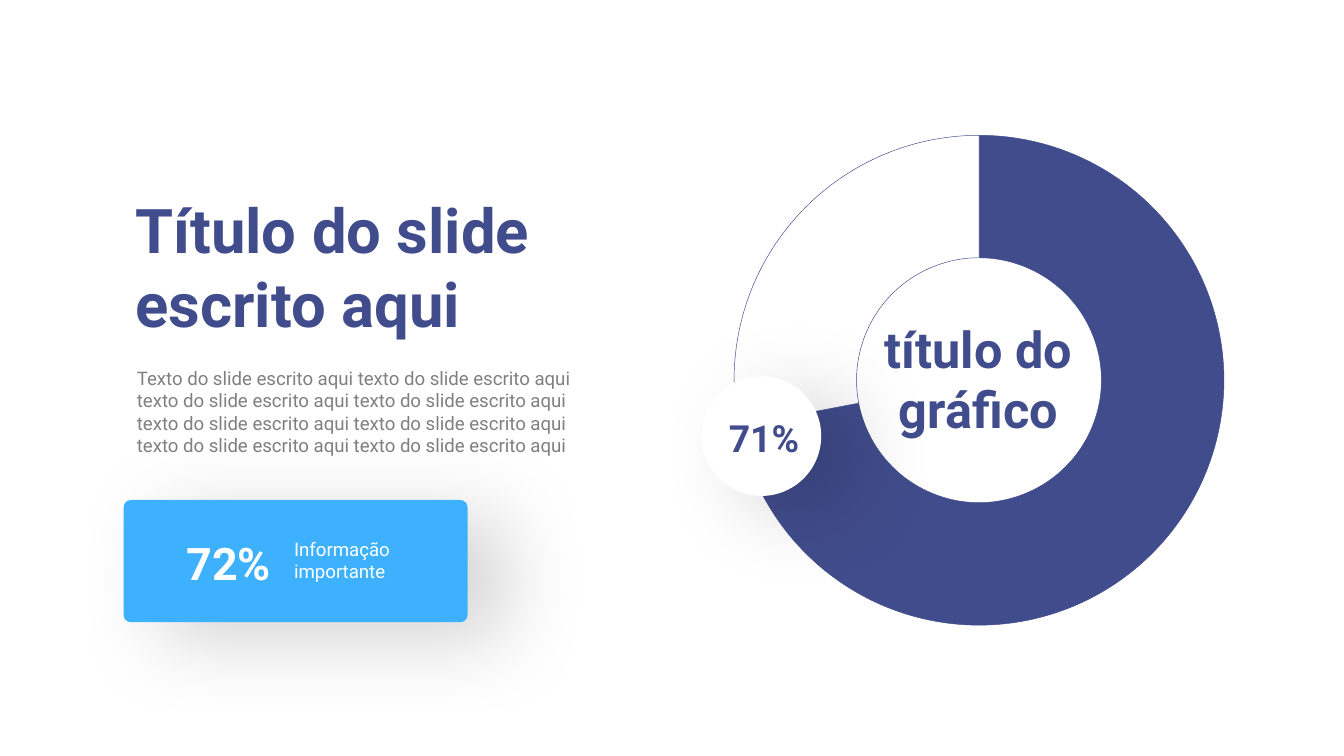
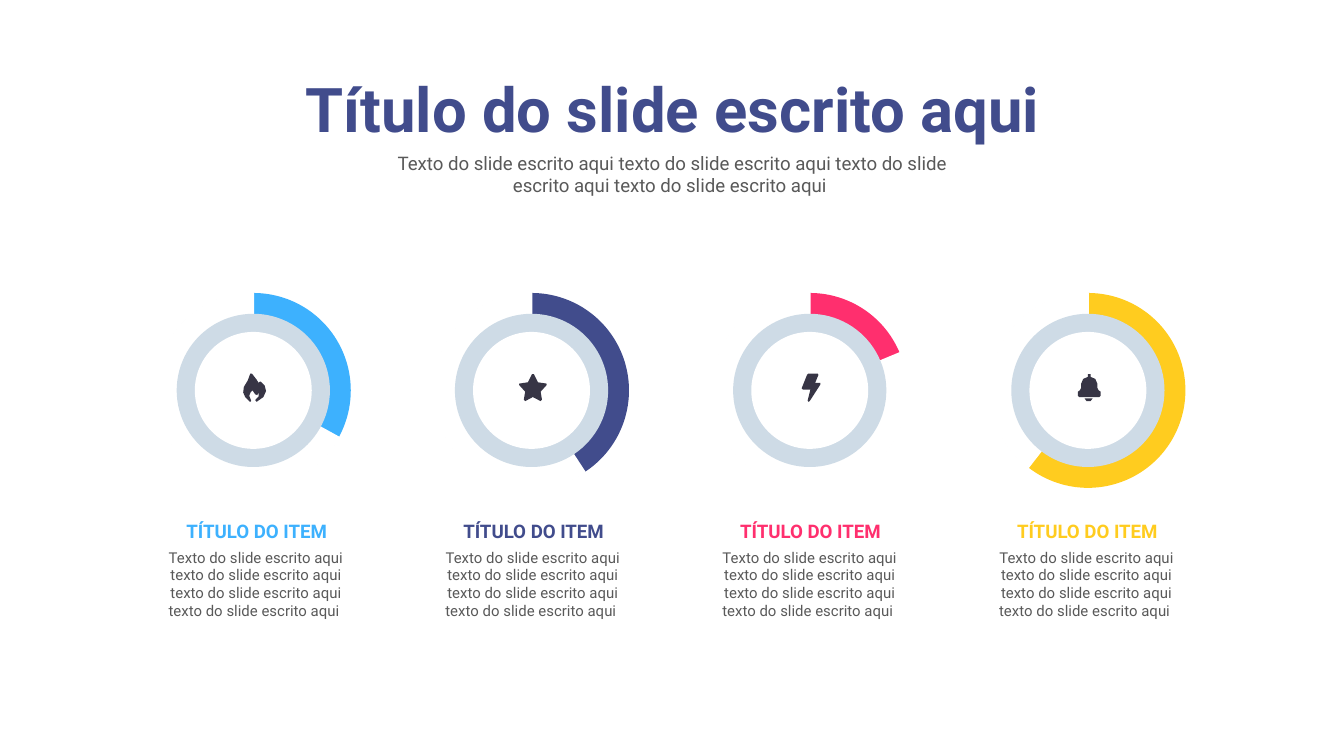
"""Build two infographic slides: a doughnut summary and a row of four dials."""
import dataclasses

import lxml.etree
import pptx
import pptx.chart.data
import pptx.dml.color
import pptx.enum.chart
import pptx.enum.shapes
import pptx.enum.text
import pptx.oxml.ns
import pptx.util

Inches = pptx.util.Inches
Shape = pptx.enum.shapes.MSO_SHAPE
Align = pptx.enum.text.PP_ALIGN
Anchor = pptx.enum.text.MSO_ANCHOR
qn = pptx.oxml.ns.qn


@dataclasses.dataclass(frozen=True)
class Theme:
    """Colours, fonts and type sizes of the deck."""
    navy: str = "414C8C"
    sky: str = "3DB1FE"
    pink: str = "FF2F6E"
    yellow: str = "FFCC1F"
    ring: str = "CEDBE6"
    icon: str = "373545"
    white: str = "FFFFFF"
    black: str = "000000"
    gray: str = "808080"
    dark_gray: str = "595959"
    font: str = "Roboto"
    chart_font: str = "Calibri"
    title: int = 33
    chart_title: int = 27
    figure: int = 24
    badge: int = 20
    body: int = 10
    small: int = 8


T = Theme()
TITLE = "Título do slide escrito aqui"
PHRASE = "texto do slide escrito aqui"

ICONS = {
    "flame": [[(11.5, 14), (11.5, 17), (9.5, 19), (9, 20), (10, 21), (15, 17.5),
               (17, 13), (16, 9), (13, 6), (12, 6.2), (11.5, 7), (10, 4.5),
               (6.5, 0), (5.3, 0), (3.5, 5), (0.5, 10), (0, 14), (1.5, 17.5),
               (5, 21), (6, 20.5), (5.7, 19.5), (4.5, 16.5), (5.5, 14),
               (7, 12.5), (9, 15.5), (10.5, 16)]],
    "star": [[(20.5, 7), (14, 6), (11, 0), (9.5, 0), (6.5, 6), (0, 7), (0, 8),
              (4.5, 13), (3.5, 19), (4.5, 20), (10.2, 17), (16, 20), (17, 19),
              (16, 13), (20.5, 8)]],
    "bolt": [[(5, 21), (4.5, 20), (6.5, 12), (1, 12), (0, 11), (4, 1), (5, 0),
              (12, 0), (12.5, 1), (10, 7), (14, 7), (14, 8), (6, 20.5)]],
    "bell": [[(11, 18), (9.5, 20), (6.5, 20), (5, 18)],
             [(15.5, 12), (17, 13), (17, 16), (16, 17), (1, 17), (0, 16),
              (0, 13), (1.5, 12), (2.5, 10), (2.5, 7), (4, 3.5), (7.5, 2),
              (7.5, 0), (9.5, 0), (9.5, 2), (13, 3.5), (14.5, 7), (14.5, 10)]],
}


def rgb(color):
    """Return the colour object for a hex string."""
    return pptx.dml.color.RGBColor.from_string(color)


def box(*lengths):
    """Convert lengths in inches."""
    return [Inches(v) for v in lengths]


def phrases(count):
    """Repeat the sample phrase, starting with a capital."""
    return " ".join([PHRASE.capitalize()] + [PHRASE] * (count - 1))


def add_text(s, text, x, y, w, h, *, size=T.body, color=T.dark_gray, bold=False,
             align=Align.LEFT, anchor=Anchor.TOP):
    """Add a wrapping text box with one paragraph per line of text."""
    tf = s.shapes.add_textbox(*box(x, y, w, h)).text_frame
    tf.word_wrap = True
    tf.auto_size = pptx.enum.text.MSO_AUTO_SIZE.SHAPE_TO_FIT_TEXT
    tf.vertical_anchor = anchor
    for i, line in enumerate(text.split("\n")):
        p = tf.paragraphs[0] if i == 0 else tf.add_paragraph()
        p.alignment = align
        r = p.add_run()
        r.text = line
        r.font.name = T.font
        r.font.size = pptx.util.Pt(size)
        r.font.bold = bold
        r.font.color.rgb = rgb(color)


def add_title(s, x, y, w, h, align=Align.LEFT):
    """Add the slide title in the shared style."""
    add_text(s, TITLE, x, y, w, h, size=T.title, color=T.navy, bold=True, align=align)


def paint(sp, color):
    """Give a shape a flat fill without line or shadow."""
    sp.shadow.inherit = False
    sp.fill.solid()
    sp.fill.fore_color.rgb = rgb(color)
    sp.line.fill.background()
    return sp


def add_shape(s, kind, x, y, w, h, color):
    """Add a flat preset shape."""
    return paint(s.shapes.add_shape(kind, *box(x, y, w, h)), color)


def add_shadow(sp):
    """Cast a wide soft shadow to the lower right."""
    effects = sp._element.spPr.find(qn("a:effectLst"))
    shadow = lxml.etree.SubElement(
        effects, qn("a:outerShdw"), blurRad=str(pptx.util.Pt(45)),
        dist=str(pptx.util.Pt(22)), dir=str(25 * 60000), rotWithShape="0")
    color = lxml.etree.SubElement(shadow, qn("a:srgbClr"), val=T.black)
    lxml.etree.SubElement(color, qn("a:alpha"), val="17000")


def add_icon(s, name, cx, cy):
    """Draw an icon centred on a point; outlines are in hundredths of an inch."""
    contours = [[(x * 10, y * 10) for x, y in c] for c in ICONS[name]]
    points = [pt for c in contours for pt in c]
    w, h = (max(axis) / 1000 for axis in zip(*points))
    fb = s.shapes.build_freeform(*contours[0][0], scale=Inches(1) / 1000)
    for i, contour in enumerate(contours):
        if i:
            fb.move_to(*contour[0])
        fb.add_line_segments(contour[1:], close=True)
    paint(fb.convert_to_shape(*box(cx - w / 2, cy - h / 2)), T.icon)


def set_plot_layout(chart, size):
    """Centre the plot area in the chart at a share of its size."""
    area = chart._chartSpace.find(".//" + qn("c:plotArea"))
    layout = area.find(qn("c:layout"))
    if layout is None:
        layout = lxml.etree.Element(qn("c:layout"))
        area.insert(0, layout)
    manual = lxml.etree.SubElement(layout, qn("c:manualLayout"))
    margin = (1 - size) / 2
    for tag, value in (("layoutTarget", "inner"), ("xMode", "edge"), ("yMode", "edge"),
                       ("x", margin), ("y", margin), ("w", size), ("h", size)):
        lxml.etree.SubElement(manual, qn("c:" + tag), val=str(value))


def add_doughnut(s, x, y, w, h):
    """Add the doughnut chart with its badge and central title."""
    data = pptx.chart.data.CategoryChartData()
    data.categories = ["1", "2"]
    data.add_series("Series 1", (72, 28))
    chart = s.shapes.add_chart(
        pptx.enum.chart.XL_CHART_TYPE.DOUGHNUT, *box(x, y, w, h), data).chart
    chart.has_title = False
    chart.has_legend = False
    chart.font.name = T.chart_font
    chart.font.size = pptx.util.Pt(T.body)
    chart.font.color.rgb = rgb(T.black)
    plot = chart.plots[0]
    plot.vary_by_categories = True
    plot.has_data_labels = False
    for i, color in enumerate((T.navy, T.white)):
        fmt = plot.series[0].points[i].format
        fmt.fill.solid()
        fmt.fill.fore_color.rgb = rgb(color)
        fmt.line.color.rgb = rgb(T.navy)
        fmt.line.width = pptx.util.Pt(0.25)
    chart._chartSpace.find(".//" + qn("c:holeSize")).set("val", "85")
    set_plot_layout(chart, 0.93)

    add_shadow(add_shape(s, Shape.OVAL, x - 0.09, y + 1.93, 0.89, 0.89, T.white))
    add_text(s, "título do gráfico", x + 1.14, y + 1.44, 1.66, 1.01, size=T.chart_title,
             color=T.navy, bold=True, align=Align.CENTER, anchor=Anchor.MIDDLE)
    add_text(s, "71%", x - 0.11, y + 2.17, 0.97, 0.44, size=T.badge, color=T.navy,
             bold=True, align=Align.CENTER)


def add_card(s, x, y, w, h):
    """Add the highlighted figure card."""
    card = add_shape(s, Shape.ROUNDED_RECTANGLE, x, y, w, h, T.sky)
    card.adjustments[0] = 0.06
    add_shadow(card)
    add_text(s, "72%", x + 0.37, y + 0.22, 0.97, 0.5, size=T.figure, color=T.white, bold=True)
    add_text(s, "Informação\nimportante", x + 1.17, y + 0.23, 1.32, 0.44, color=T.white)


def add_dial(s, x, y, size, icon, color, sweep):
    """Add a dial whose coloured arc runs clockwise from the top by sweep degrees."""
    add_shape(s, Shape.OVAL, x, y, size, size, color)
    mask = add_shape(s, Shape.PIE, x, y, size, size, T.white)
    mask.rotation = 270
    for i, angle in enumerate((sweep, 359.99)):
        mask.adjustments[i] = angle * 0.6
    mask.line.color.rgb = rgb(T.white)
    mask.line.width = pptx.util.Pt(1)
    cx, cy = x + size / 2, y + size / 2
    for d, fill in ((1.14, T.ring), (0.87, T.white)):
        add_shape(s, Shape.OVAL, cx - d / 2, cy - d / 2, d, d, fill)
    add_icon(s, icon, cx + 0.01, cy - 0.02)


def add_caption(s, x, y, w, color):
    """Add an item heading above its text."""
    add_text(s, "TÍTULO DO ITEM", x + 0.16, y, 1.4, 0.27, color=color, bold=True,
             align=Align.CENTER)
    add_text(s, phrases(4) + " ", x, y + 0.21, w, 0.64, size=T.small, align=Align.CENTER)


def build_summary(s):
    """Compose the doughnut slide."""
    add_doughnut(s, 5.31, 0.87, 3.95, 3.92)
    add_title(s, 0.91, 1.38, 4.06, 1.21)
    add_text(s, phrases(8), 0.92, 2.68, 3.48, 0.77, color=T.gray)
    add_card(s, 0.92, 3.72, 2.56, 0.91)


def build_dials(s):
    """Compose the slide with four dials."""
    add_text(s, phrases(4) + " ", 2.71, 1.08, 4.58, 0.44, align=Align.CENTER)
    add_title(s, 0.87, 0.48, 8.27, 0.66, Align.CENTER)
    items = [("flame", T.sky, 118.79), ("star", T.navy, 146.92),
             ("bolt", T.pink, 67.47), ("bell", T.yellow, 217.84)]
    for i, (icon, color, sweep) in enumerate(items):
        add_dial(s, 1.16 + 2.07 * i, 2.18, 1.45, icon, color, sweep)
        add_caption(s, 1.05 + 2.06 * i, 3.82, 1.71, color)


def main():
    """Build and save the deck."""
    prs = pptx.Presentation()
    prs.slide_width = Inches(10)
    prs.slide_height = prs.slide_width * 9 // 16
    for build in (build_summary, build_dials):
        build(prs.slides.add_slide(prs.slide_layouts[6]))
    prs.save("out.pptx")


if __name__ == "__main__":
    main()
